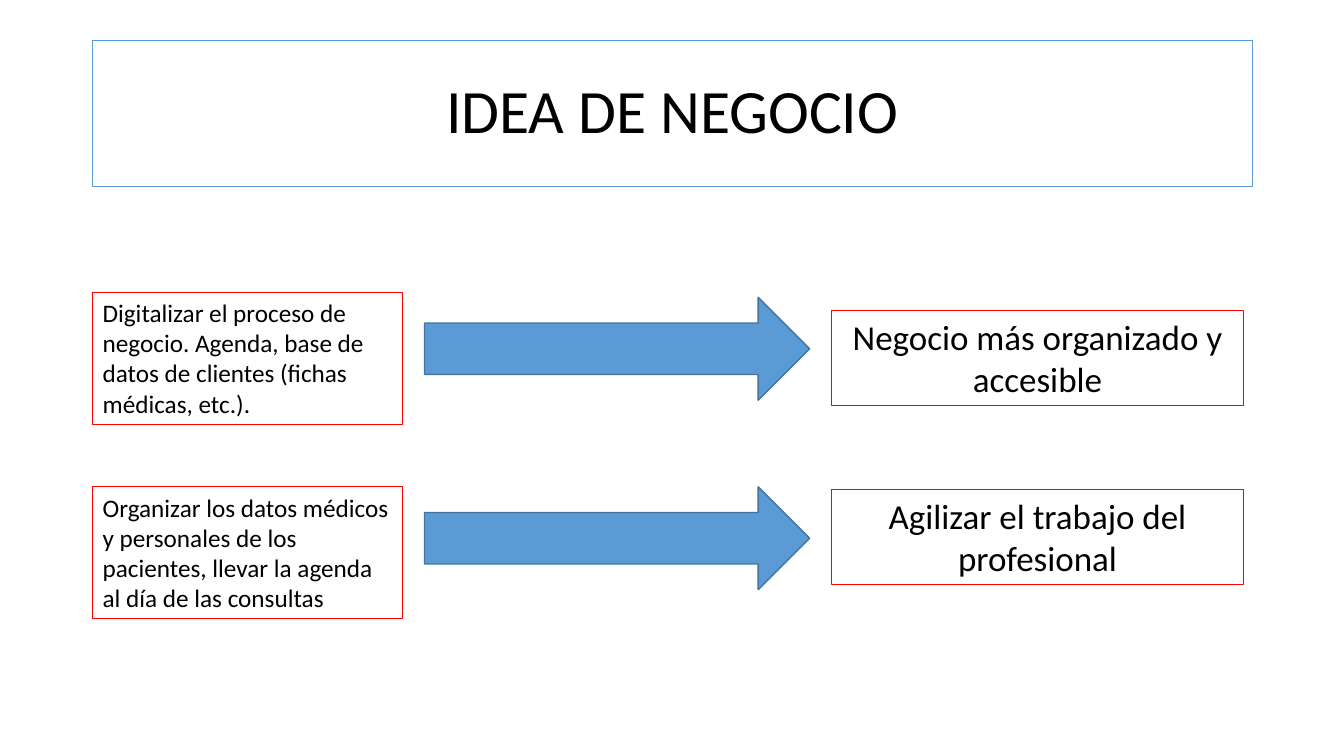
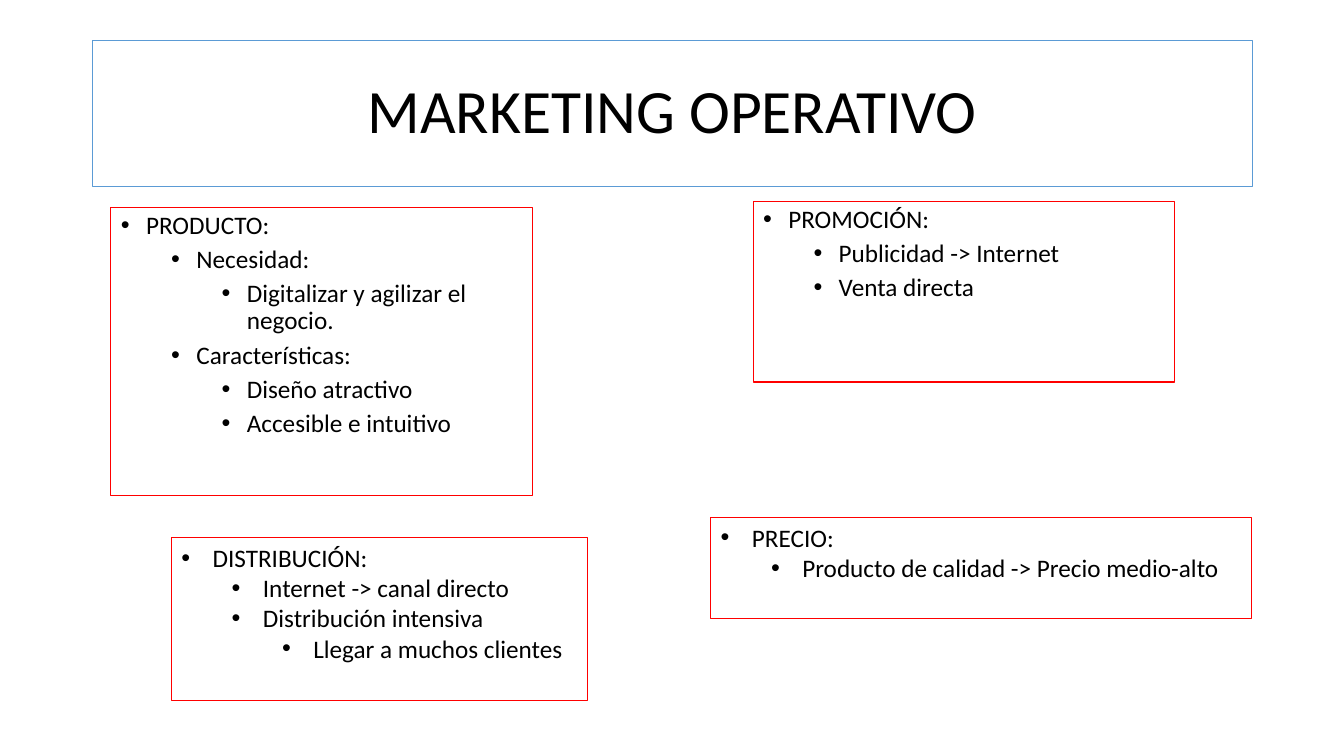
import pptx
import pptx.util
import pptx.dml.color
import pptx.enum.shapes
import pptx.enum.text
import pptx.oxml.ns
import lxml.etree
from dataclasses import dataclass

Inches = pptx.util.Inches
Pt = pptx.util.Pt
Align = pptx.enum.text.PP_ALIGN
Anchor = pptx.enum.text.MSO_ANCHOR


@dataclass(frozen=True)
class Theme:
    font: str = "Calibri"
    ink: str = "000000"
    blue: str = "5B9BD5"
    edge: str = "43739E"
    red: str = "FF0000"
    title: int = 44
    goal: int = 25
    body: int = 18
    thin: float = 0.75


THEME = Theme()
TITLE = (0.92, 0.4, 11.5, 1.45)

IDEA = "IDEA DE NEGOCIO"
CAUSE = (0.92, 3.07, 1.31)
ARROW = (4.21, 3.82, 1.02)
GOAL = (8.25, 4.08, 0.94)
ROWS = [
    ("Digitalizar el proceso de negocio. Agenda, base de datos de clientes (fichas médicas, etc.).",
     "Negocio más organizado y accesible", (2.9, 2.95, 3.08)),
    ("Organizar los datos médicos y personales de los pacientes, llevar la agenda al día de las consultas",
     "Agilizar el trabajo del profesional", (4.83, 4.83, 4.86)),
]

MARKET = "MARKETING OPERATIVO"
TIGHT = dict(hang=0.25, space=0.9, gaps=(10, 5, 5))
LOOSE = dict(hang=0.31, space=1.0, gaps=(0, 0, 0))
LISTS = [
    ((1.1, 2.06, 4.18, 2.86), TIGHT, [
        (0, "PRODUCTO:"),
        (1, "Necesidad:"),
        (2, "Digitalizar y agilizar el negocio."),
        (1, "Características:"),
        (2, "Diseño atractivo"),
        (2, "Accesible e intuitivo"),
    ]),
    ((7.47, 2, 4.18, 1.79), TIGHT, [
        (0, "PROMOCIÓN:"),
        (1, "Publicidad -> Internet"),
        (1, "Venta directa"),
    ]),
    ((1.7, 5.33, 4.13, 1.62), LOOSE, [
        (0, "DISTRIBUCIÓN:"),
        (1, "Internet -> canal directo"),
        (1, "Distribución intensiva"),
        (2, "Llegar a muchos clientes"),
    ]),
    ((7.05, 5.13, 5.36, 1.01), LOOSE, [
        (0, "PRECIO:"),
        (1, "Producto de calidad -> Precio medio-alto"),
    ]),
]


def rgb(code):
    return pptx.dml.color.RGBColor.from_string(code)


def outline(shape, color, width=THEME.thin):
    shape.line.color.rgb = rgb(color)
    shape.line.width = Pt(width)


def add_box(slide, place, color, anchor=Anchor.TOP):
    box = slide.shapes.add_textbox(*map(Inches, place))
    outline(box, color)
    frame = box.text_frame
    frame.word_wrap = True
    frame.vertical_anchor = anchor
    return frame


def add_run(para, text, size):
    run = para.add_run()
    run.text = text
    run.font.name = THEME.font
    run.font.size = Pt(size)
    run.font.color.rgb = rgb(THEME.ink)


def add_note(slide, place, text, size, align, color=THEME.red, anchor=Anchor.TOP, space=1.0):
    para = add_box(slide, place, color, anchor).paragraphs[0]
    para.alignment = align
    para.line_spacing = space
    add_run(para, text, size)


def add_arrow(slide, place):
    kind = pptx.enum.shapes.MSO_SHAPE.RIGHT_ARROW
    arrow = slide.shapes.add_shape(kind, *map(Inches, place))
    arrow.shadow.inherit = False
    arrow.fill.solid()
    arrow.fill.fore_color.rgb = rgb(THEME.blue)
    outline(arrow, THEME.edge, 1)


def add_bullet(para, level, hang):
    props = para._p.get_or_add_pPr()
    props.set("marL", str(Inches(level * 0.5 + hang)))
    props.set("indent", str(-Inches(hang)))
    qn = pptx.oxml.ns.qn
    lxml.etree.SubElement(props, qn("a:buFont")).set("typeface", "Arial")
    lxml.etree.SubElement(props, qn("a:buChar")).set("char", "•")


def add_list(slide, place, items, hang, space, gaps):
    frame = add_box(slide, place, THEME.red)
    for i, (level, text) in enumerate(items):
        para = frame.add_paragraph() if i else frame.paragraphs[0]
        para.level = level
        para.line_spacing = space
        para.space_before = Pt(gaps[level])
        add_bullet(para, level, hang)
        add_run(para, text, THEME.body)


def add_slide(deck, title):
    slide = deck.slides.add_slide(deck.slide_layouts[6])
    add_note(slide, TITLE, title, THEME.title, Align.CENTER, THEME.blue, Anchor.MIDDLE, 0.9)
    return slide


def set_row(part, top):
    left, width, height = part
    return left, top, width, height


def main():
    deck = pptx.Presentation()
    deck.slide_width = Inches(13.33)
    deck.slide_height = Inches(7.5)

    slide = add_slide(deck, IDEA)
    for cause, goal, tops in ROWS:
        left, mid, right = map(set_row, (CAUSE, ARROW, GOAL), tops)
        add_note(slide, left, cause, THEME.body, Align.LEFT)
        add_arrow(slide, mid)
        add_note(slide, right, goal, THEME.goal, Align.CENTER)

    slide = add_slide(deck, MARKET)
    for place, style, items in LISTS:
        add_list(slide, place, items, **style)

    deck.save("out.pptx")


if __name__ == "__main__":
    main()
